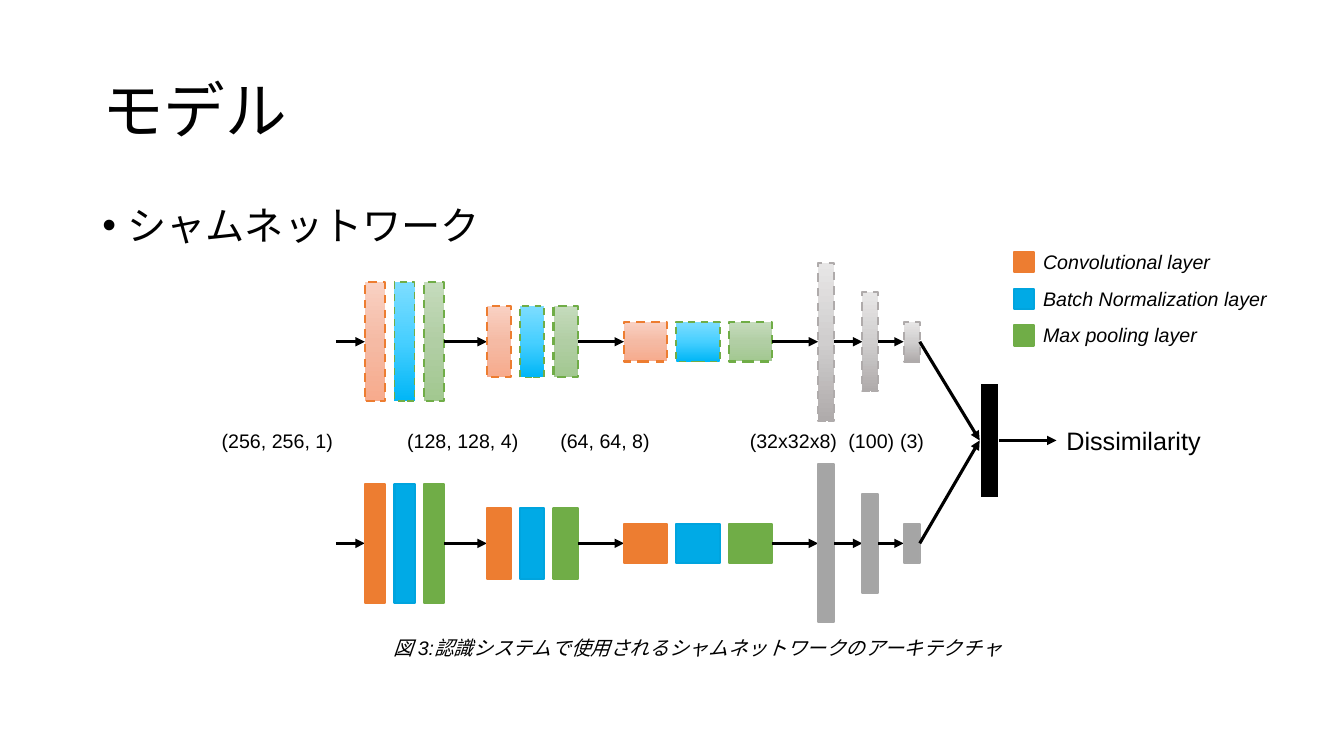
from copy import deepcopy
from dataclasses import dataclass

from lxml import etree
from pptx import Presentation
from pptx.dml.color import RGBColor
from pptx.enum import dml, shapes, text
from pptx.oxml.ns import qn
from pptx.util import Pt


@dataclass(frozen=True)
class Layer:
    fill: str
    edge: str
    tints: tuple
    tint_edge: str
    tint_edge_width: float = 1.5


@dataclass(frozen=True)
class Theme:
    font: str = "Arial"
    ink: str = "000000"
    paper: str = "FFFFFF"
    title: int = 44
    body: int = 28
    output: int = 18
    label: int = 14
    edge_width: float = 1.5
    arrow_width: float = 2.25
    conv: Layer = Layer("ED7D31", "ED7D31", ("F9D1C3", "F5BAA4", "F7AB8D"), "ED7D31")
    norm: Layer = Layer("00AAE6", "00A4DE", ("7DDDFF", "47CFFF", "00B6F6"), "70AD47", 1.25)
    pool: Layer = Layer("70AD47", "70AD47", ("C5DBBC", "B1CEA4", "A2C890"), "70AD47")
    dense: Layer = Layer("A5A5A5", "A6A6A6", ("E7E6E6", "D0CECE", "AFABAB"), "AFABAB")


class Board:
    def __init__(self, slide, theme):
        self.slide = slide
        self.theme = theme

    def label(self, words, left, top, width, height, size, wrap=False, italic=False,
              anchor=text.MSO_ANCHOR.TOP, align=None, spacing=None, bullet=False):
        frame = self.slide.shapes.add_textbox(
            Pt(left), Pt(top), Pt(width), Pt(height)).text_frame
        frame.word_wrap = wrap
        frame.vertical_anchor = anchor
        paragraph = frame.paragraphs[0]
        paragraph.text = words
        if bullet:
            props = paragraph._p.get_or_add_pPr()
            props.set("marL", str(Pt(18)))
            props.set("indent", str(-Pt(18)))
            etree.SubElement(props, qn("a:buFont"), typeface=self.theme.font)
            etree.SubElement(props, qn("a:buChar"), char="•")
        paragraph.alignment = align
        paragraph.line_spacing = spacing
        font = paragraph.font
        font.name = self.theme.font
        font.size = Pt(size)
        font.italic = italic
        font.color.rgb = RGBColor.from_string(self.theme.ink)

    def bar(self, left, top, width, height, fill, edge):
        bar = self.slide.shapes.add_shape(
            shapes.MSO_SHAPE.RECTANGLE, Pt(left), Pt(top), Pt(width), Pt(height))
        bar.shadow.inherit = False
        bar.fill.solid()
        bar.fill.fore_color.rgb = RGBColor.from_string(fill)
        bar.line.color.rgb = RGBColor.from_string(edge)
        bar.line.width = Pt(self.theme.edge_width)
        return bar

    def layer(self, left, top, width, height, layer, tinted=False):
        """Draw a network layer: solid, or a dashed bar fading downwards."""
        bar = self.bar(left, top, width, height, layer.fill, layer.edge)
        if not tinted:
            return
        bar.fill.gradient()
        bar.fill.gradient_angle = 270
        stops = bar._element.spPr.find(qn("a:gradFill")).find(qn("a:gsLst"))
        stops.append(deepcopy(stops[-1]))
        for stop, position, tint in zip(bar.fill.gradient_stops, (0, 0.5, 1), layer.tints):
            stop.position = position
            stop.color.rgb = RGBColor.from_string(tint)
        bar.line.color.rgb = RGBColor.from_string(layer.tint_edge)
        bar.line.width = Pt(layer.tint_edge_width)
        bar.line.dash_style = dml.MSO_LINE.DASH

    def arrow(self, x1, y1, x2, y2):
        arrow = self.slide.shapes.add_connector(
            shapes.MSO_CONNECTOR.STRAIGHT, Pt(x1), Pt(y1), Pt(x2), Pt(y2))
        arrow.line.color.rgb = RGBColor.from_string(self.theme.ink)
        arrow.line.width = Pt(self.theme.arrow_width)
        props = arrow._element.spPr
        etree.SubElement(props.find(qn("a:ln")), qn("a:tailEnd"), type="triangle")
        etree.SubElement(props, qn("a:effectLst"))

    def branch(self, start, middle, stages, goal, tinted):
        """Chain the stages along one horizontal axis and point the last at goal."""
        for left, width, pitch, height, layers in stages:
            self.arrow(start, middle, left, middle)
            for i, layer in enumerate(layers):
                self.layer(left + i * pitch, middle - height / 2, width, height, layer, tinted)
            start = left + (len(layers) - 1) * pitch + width
        self.arrow(start, middle, *goal)


def main():
    deck = Presentation()
    deck.slide_width, deck.slide_height = Pt(960), Pt(540)
    theme = Theme()
    board = Board(deck.slides.add_slide(deck.slide_layouts[6]), theme)

    board.label("モデル", 66, 28.75, 828, 104.4, theme.title, wrap=True,
                anchor=text.MSO_ANCHOR.MIDDLE, spacing=0.9)
    board.label("シャムネットワーク", 66, 143.75, 828, 342.6, theme.body, wrap=True,
                spacing=0.9, bullet=True)

    # Stages: left, layer width, pitch, height, layers
    block = (theme.conv, theme.norm, theme.pool)
    stages = [
        (260.6, 14.4, 21.2, 85, block),
        (347.8, 17.3, 23.8, 51, block),
        (445.7, 31, 37.4, 28.2, block),
        (584.4, 11.5, 0, 113, (theme.dense,)),
        (616, 11.5, 0, 70.6, (theme.dense,)),
        (645.5, 11.5, 0, 28.2, (theme.dense,)),
    ]
    join_left, join_width, join_height, join_middle = 699.8, 13.7, 82, 314.6
    board.bar(join_left, join_middle - join_height / 2, join_width, join_height,
              theme.ink, theme.paper)
    for middle, tinted in ((244.1, True), (388.1, False)):
        board.branch(240, middle, stages, (join_left, join_middle), tinted)
    board.arrow(join_left + join_width, join_middle, 754.6, join_middle)
    board.label("Dissimilarity", 754.6, 300.2, 111.6, 29, theme.output)

    tensor_shapes = [
        ("(256, 256, 1)", 151.2, 94.3),
        ("(128, 128, 4)", 283.7, 94.3),
        ("(64, 64, 8)", 393.1, 78.5),
        ("(32x32x8)", 528.5, 77),
        ("(100)", 599, 47.5),
        ("(3)", 635.8, 31.7),
    ]
    for words, left, width in tensor_shapes:
        board.label(words, left, 303.1, width, 24.5, theme.label)

    legend = [
        ("Convolutional layer", 134.6, theme.conv),
        ("Batch Normalization layer", 175, theme.norm),
        ("Max pooling layer", 125.3, theme.pool),
    ]
    for row, (words, width, layer) in enumerate(legend):
        top = 180 + row * 26.2
        board.layer(724.3, top, 14.4, 14.4, layer)
        board.label(words, 738, top - 5, width, 24.5, theme.label, italic=True)

    board.label("図 3:認識システムで使用されるシャムネットワークのアーキテクチャ",
                181.4, 450.7, 634.3, 24.5, theme.label, wrap=True, italic=True,
                align=text.PP_ALIGN.CENTER)

    deck.save("out.pptx")


if __name__ == "__main__":
    main()
